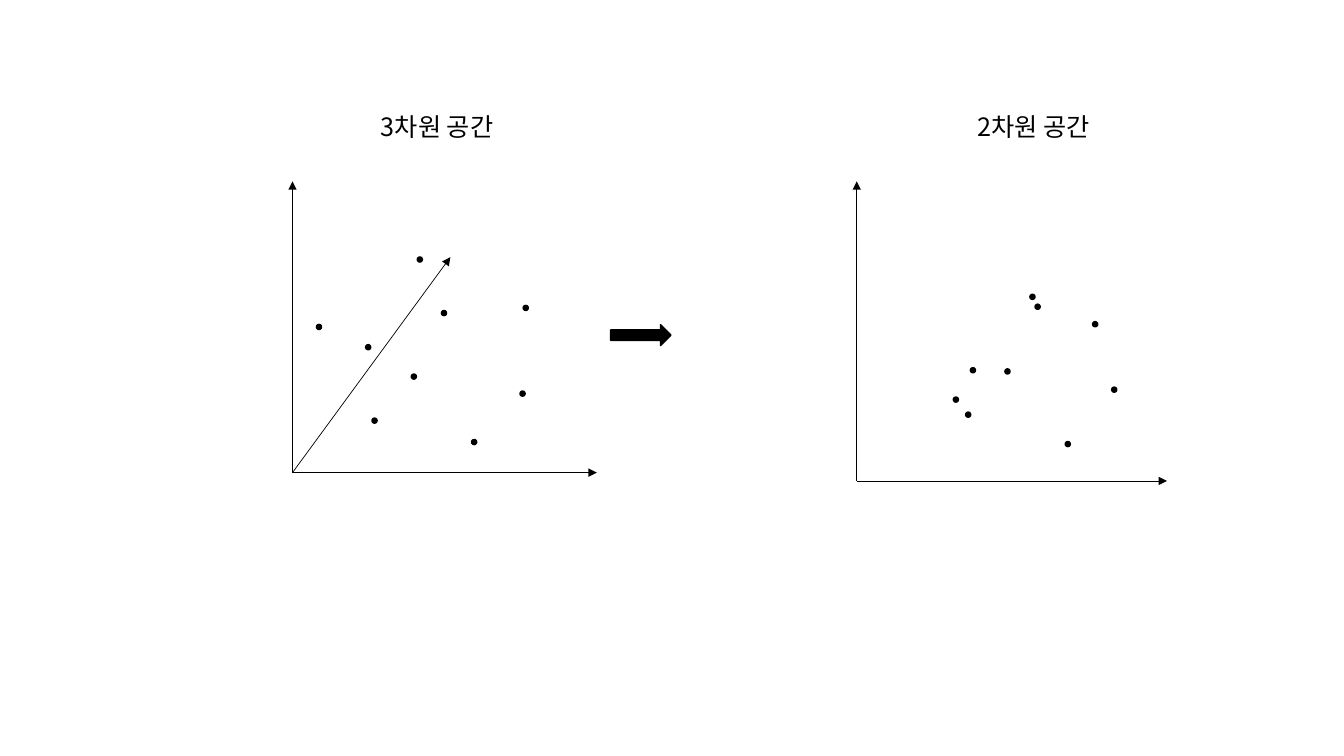
from lxml.etree import SubElement
from pptx import Presentation
from pptx.dml.color import RGBColor
from pptx.enum.shapes import MSO_CONNECTOR as Connector, MSO_SHAPE as Shape
from pptx.enum.text import MSO_AUTO_SIZE as AutoSize
from pptx.oxml.ns import qn
from pptx.util import Cm, Pt

COLORS = {"ink": "000000"}
FONT = "Noto Sans CJK KR"
DOT_SIZE = 0.13
AXIS_TOP = 4.57
CAPTION_TOP = 2.69

# Lengths in cm: axis tips start at the origin, points are dot centres.
SPACES = [
    {
        "caption": "3차원 공간",
        "caption_left": 9.35,
        "origin": (7.37, 11.91),
        "tips": [(7.37, AXIS_TOP), (15.04, 11.91), (11.35, 6.48)],
        "points": [(13.25, 7.76), (9.44, 10.6), (8.04, 8.24),
                   (10.58, 6.54), (11.19, 7.89), (11.95, 11.14),
                   (10.43, 9.49), (13.17, 9.92), (9.28, 8.75)],
    },
    {
        "caption": "2차원 공간",
        "caption_left": 24.38,
        "origin": (21.59, 12.12),
        "tips": [(21.59, AXIS_TOP), (29.41, 12.12)],
        "points": [(27.6, 8.17), (24.4, 10.45), (24.09, 10.07),
                   (26.02, 7.48), (26.15, 7.73), (26.91, 11.19),
                   (25.39, 9.36), (28.08, 9.82), (24.52, 9.33)],
    },
]


class Diagram:
    """Draws on one slide in a single ink colour and font."""

    def __init__(self, slide):
        self.shapes = slide.shapes
        self.ink = RGBColor.from_string(COLORS["ink"])

    def axis(self, origin, tip):
        line = self.shapes.add_connector(
            Connector.STRAIGHT, *map(Cm, origin + tip))
        line.line.color.rgb = self.ink
        line.line.width = Pt(0.5)
        SubElement(line.line._get_or_add_ln(), qn("a:tailEnd"), type="triangle")
        SubElement(line._element.spPr, qn("a:effectLst"))

    def solid(self, kind, left, top, width, height):
        shape = self.shapes.add_shape(
            kind, Cm(left), Cm(top), Cm(width), Cm(height))
        shape.shadow.inherit = False
        shape.fill.solid()
        shape.fill.fore_color.rgb = self.ink
        shape.line.color.rgb = self.ink
        shape.line.width = Pt(1)

    def dot(self, x, y):
        self.solid(Shape.OVAL, x - DOT_SIZE / 2, y - DOT_SIZE / 2,
                   DOT_SIZE, DOT_SIZE)

    def caption(self, text, left):
        box = self.shapes.add_textbox(
            Cm(left), Cm(CAPTION_TOP), Cm(3.66), Cm(1.02))
        frame = box.text_frame
        frame.word_wrap = False
        frame.auto_size = AutoSize.SHAPE_TO_FIT_TEXT
        run = frame.paragraphs[0].add_run()
        run.text = text
        run.font.size = Pt(18)
        run.font.color.rgb = self.ink
        run.font.name = FONT
        SubElement(run.font._element, qn("a:ea"), typeface=FONT)

    def space(self, caption, caption_left, origin, tips, points):
        for tip in tips:
            self.axis(origin, tip)
        for point in points:
            self.dot(*point)
        self.caption(caption, caption_left)


def main():
    deck = Presentation()
    deck.slide_width, deck.slide_height = Cm(33.87), Cm(19.05)
    blank_layout = deck.slide_layouts[6]
    diagram = Diagram(deck.slides.add_slide(blank_layout))

    for space in SPACES:
        diagram.space(**space)
    diagram.solid(Shape.RIGHT_ARROW, 15.39, 8.18, 1.52, 0.53)

    deck.save("out.pptx")


if __name__ == "__main__":
    main()
